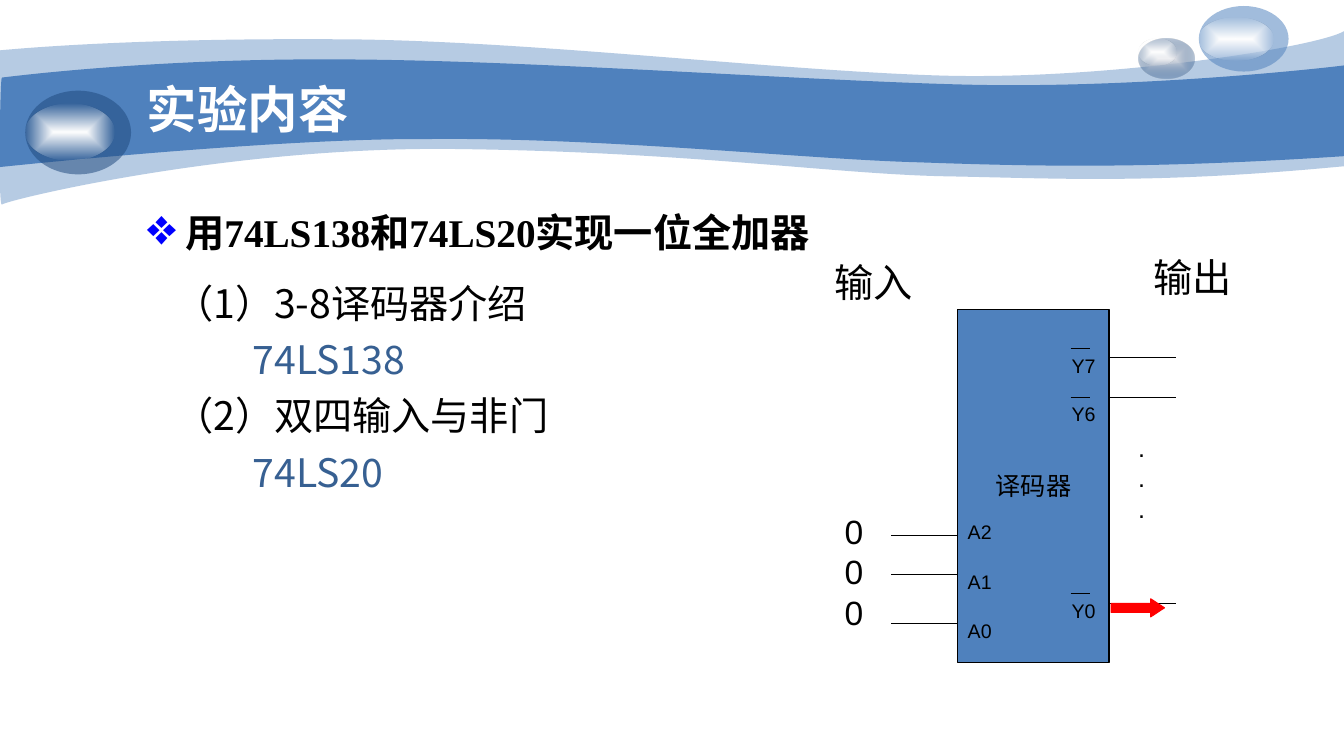
from pptx import Presentation
from pptx.dml.color import RGBColor
from pptx.enum.shapes import MSO_CONNECTOR, MSO_SHAPE
from pptx.enum.text import MSO_ANCHOR, PP_ALIGN
from pptx.oxml import parse_xml
from pptx.oxml.ns import qn
from pptx.util import Inches, Pt
from lxml.etree import SubElement

COLORS = {"blue": "4F81BD", "navy": "1F497D", "link": "376092", "black": "000000",
          "white": "FFFFFF", "silver": "E1E2E7", "bullet": "0000FF", "red": "FF0000"}
CJK = "Noto Sans CJK SC"
DRAWING = "http://schemas.openxmlformats.org/drawingml/2006/main"

# Content
TITLE = "实验内容"
HEADING = "用74LS138和74LS20实现一位全加器"
TOPICS = [("（1）3-8译码器介绍", "74LS138"), ("（2）双四输入与非门", "74LS20")]
CHIP = (9.5, 3.07, 1.5, 3.5)
INPUTS = [("A2", 5.11, 5.31), ("A1", 5.6, 5.7), ("A0", 6.09, 6.19)]  # label top, wire
OUTPUTS = [("Y7", 3.46, 3.55), ("Y6", 3.94, 3.94), ("Y0", 5.89, 5.99)]
CAPTIONS = [("输入", 8.18, 2.51), ("输出", 11.34, 2.46)]

# Banner outlines: opacity, start, then a line (1 point) or a curve (3 points) per step
WAVES = [
    (41, (0, 0.5), [
        [(0.32, 0.47), (1.43, 0.38), (3.29, 0.39)],
        [(5.14, 0.39), (7.67, 0.7), (9.32, 0.75)],
        [(10.96, 0.8), (13.06, 0.47), (13.33, 0.31)],
        [(13.33, 1.65)],
        [(11.44, 1.83), (10.5, 1.77), (9.39, 1.75)],
        [(8.29, 1.73), (6.87, 1.51), (4.58, 1.48)],
        [(2.29, 1.44), (0.05, 1.99), (0.02, 2.03)],
        [(-0.02, 2.08), (0, 0.75), (0, 0.5)]]),
    (100, (0.02, 0.77), [
        [(0.03, 0.77), (1.46, 0.58), (3.31, 0.59)],
        [(5.15, 0.59), (7.94, 0.8), (9.58, 0.84)],
        [(11.22, 0.88), (13.01, 0.69), (13.33, 0.65)],
        [(13.33, 1.55)],
        [(11.37, 1.68), (10.21, 1.65), (9.09, 1.61)],
        [(7.99, 1.58), (5.96, 1.36), (4.23, 1.38)],
        [(2.71, 1.37), (-0.03, 1.66), (-0.02, 1.66)],
        [(0, 1.66), (0, 0.77), (0.02, 0.77)]]),
]
# Bubbles: place, then (colour, opacity) stops from centre to edge
GLOW = [("white", 100), ("white", 0)]
BUBBLES = [
    ((11.29, 0.38, 0.56, 0.4), [("silver", 100), ("navy", 31)]),
    ((11.29, 0.38, 0.38, 0.27), GLOW),
    ((11.89, 0.06, 0.89, 0.65), [("blue", 53)]),
    ((11.89, 0.17, 0.74, 0.43), GLOW),
    ((0.25, 0.9, 1.05, 0.83), [("navy", 53)]),
    ((0.25, 1.03, 0.88, 0.56), GLOW),
]

deck = Presentation()
deck.slide_width, deck.slide_height = Inches(13.33), Inches(7.5)
page = deck.slides.add_slide(deck.slide_layouts[6])


def color(name):
    return RGBColor.from_string(COLORS[name])


def paint(shape, stops, line=None):
    """Solid fill for one stop, centred gradient for two."""
    shape.shadow.inherit = False
    shape.fill.solid()
    shape.fill.fore_color.rgb = color(stops[0][0])
    solid = shape._element.spPr.find(qn("a:solidFill"))
    if len(stops) > 1:
        marks = "".join(
            f'<a:gs pos="{pos}"><a:srgbClr val="{COLORS[name]}">'
            f'<a:alpha val="{opacity * 1000}"/></a:srgbClr></a:gs>'
            for pos, (name, opacity) in zip((0, 100000), stops))
        gradient = parse_xml(
            f'<a:gradFill xmlns:a="{DRAWING}" rotWithShape="1"><a:gsLst>{marks}</a:gsLst>'
            '<a:path path="shape"><a:fillToRect l="50000" t="50000" r="50000" b="50000"/>'
            '</a:path></a:gradFill>')
        solid.getparent().replace(solid, gradient)
    elif stops[0][1] < 100:
        SubElement(solid[0], qn("a:alpha"), val=str(stops[0][1] * 1000))
    if line:
        shape.line.color.rgb = color(line)
        shape.line.width = Pt(0.75)
    else:
        shape.line.fill.background()


def add_shape(kind, place, stops, line=None):
    shape = page.shapes.add_shape(kind, *map(Inches, place))
    paint(shape, stops, line)
    return shape


def add_wave(opacity, start, steps):
    """Freeform whose three-point steps become Bezier curves."""
    builder = page.shapes.build_freeform(*map(Inches, start))
    builder.add_line_segments([(Inches(x), Inches(y)) for step in steps for x, y in step])
    wave = builder.convert_to_shape()
    segments = iter(list(wave._element.spPr.iter(qn("a:lnTo"))))
    for step in steps:
        group = [next(segments) for _ in step]
        if len(group) == 3:
            curve = parse_xml(f'<a:cubicBezTo xmlns:a="{DRAWING}"/>')
            group[0].addprevious(curve)
            for segment in group:
                curve.append(segment[0])
                segment.getparent().remove(segment)
    paint(wave, [("blue", opacity)])


def write(para, text, size, font="Arial", tint="black", bold=False):
    span = para.add_run()
    span.text = text
    span.font.size, span.font.bold = Pt(size), bold
    span.font.color.rgb = color(tint)
    span.font.name = font
    SubElement(span._r.get_or_add_rPr(), qn("a:ea"), typeface=CJK)


def add_text(place, lines, size, **style):
    box = page.shapes.add_textbox(*map(Inches, place))
    frame = box.text_frame
    frame.word_wrap = True
    for index, text in enumerate(lines):
        para = frame.add_paragraph() if index else frame.paragraphs[0]
        write(para, text, size, **style)
    return frame


def add_wire(left, right, y):
    wire = page.shapes.add_connector(MSO_CONNECTOR.STRAIGHT, Inches(left), Inches(y),
                                     Inches(right), Inches(y))
    wire.line.color.rgb = color("black")
    wire.line.width = Pt(0.75)
    SubElement(wire._element.spPr, qn("a:effectLst"))


# Banner
for wave in WAVES:
    add_wave(*wave)
for place, stops in BUBBLES:
    add_shape(MSO_SHAPE.OVAL, place, stops)

# Title and heading
title = add_text((1.36, 0.76, 4.5, 0.62), [TITLE], 36, font="Times New Roman",
                 tint="white", bold=True)
title.vertical_anchor = MSO_ANCHOR.MIDDLE
heading = add_text((1.36, 2.02, 8.61, 0.66), [HEADING], 28, font="Times New Roman", bold=True)
layout = heading.paragraphs[0]._p.get_or_add_pPr()
layout.set("marL", str(Inches(0.38)))
layout.set("indent", str(-Inches(0.38)))
tint = SubElement(layout, qn("a:buClr"))
SubElement(tint, qn("a:srgbClr"), val=COLORS["bullet"])
SubElement(layout, qn("a:buSzPct"), val="130000")
SubElement(layout, qn("a:buChar"), char="❖")

# Topics, each with its part number indented below
topics = add_text((1.63, 2.77, 5.36, 2.21), [], 28)
for index, (topic, part) in enumerate(TOPICS):
    first = topics.add_paragraph() if index else topics.paragraphs[0]
    second = topics.add_paragraph()
    write(first, topic, 28, font=CJK)
    write(second, part, 28, font=CJK, tint="link")
    second._p.get_or_add_pPr().set("marL", str(Inches(0.78)))
for para in topics.paragraphs:
    para.line_spacing, para.space_before = 0.9, Pt(10)

# Decoder chip
chip = add_shape(MSO_SHAPE.RECTANGLE, CHIP, [("blue", 100)], "black")
chip.text_frame.word_wrap = False
chip.text_frame.vertical_anchor = MSO_ANCHOR.MIDDLE
chip.text_frame.paragraphs[0].alignment = PP_ALIGN.CENTER
write(chip.text_frame.paragraphs[0], "译码器", 18)

# Pins, with a bar above each inverted output
for name, top, wire in INPUTS:
    add_wire(8.84, 9.5, wire)
    add_text((9.5, top, 0.5, 0.34), [name], 14)
for name, top, wire in OUTPUTS:
    add_wire(11, 11.66, wire)
    add_text((10.53, top, 0.5, 0.34), [name], 14)
    add_wire(10.62, 10.81, top)

# Captions, signal values and active output
for caption, left, top in CAPTIONS:
    add_text((left, top, 1.11, 0.57), [caption], 28)
add_text((11.19, 4.24, 0.31, 1.01), ["."] * 3, 18)
add_text((8.28, 5.02, 0.44, 1.31), ["0"] * 3, 24)
arrow = add_shape(MSO_SHAPE.RIGHT_ARROW, (11.02, 5.94, 0.53, 0.18), [("red", 100)], "red")
arrow.adjustments[0], arrow.adjustments[1] = 0.5, 0.76

deck.save("out.pptx")
